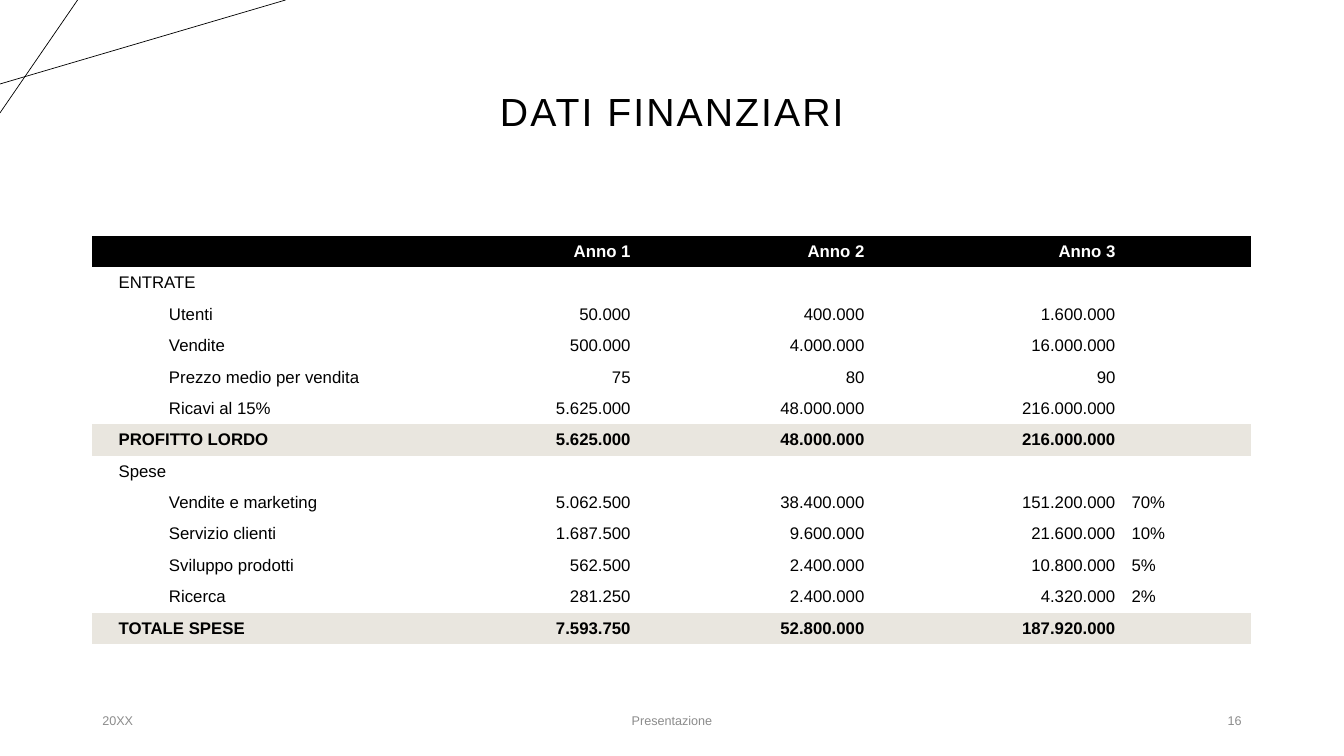
from dataclasses import dataclass

from lxml import etree
from pptx import Presentation
from pptx import util as u
from pptx.dml.color import RGBColor
from pptx.enum import shapes, text
from pptx.oxml.ns import qn

BLACK = RGBColor(0x00, 0x00, 0x00)
WHITE = RGBColor(0xFF, 0xFF, 0xFF)
SAND = RGBColor(0xE9, 0xE6, 0xDF)
GREY = RGBColor(0x8C, 0x8C, 0x8C)

FONT = "Arial"
SLIDE_WIDTH, SLIDE_HEIGHT = u.Inches(13.333), u.Inches(7.5)
GRID_COLUMNS, GRID_ROWS = 160, 90
MARGIN, CONTENT = 11, 138
TABLE_TOP, TABLE_ROW = 28.08, 3.74
TABLE_COLUMNS = (42.48, 22.56, 27.84, 29.88, 15.24)
PLAIN_TABLE_STYLE = "{2D5ABB26-0587-4C30-8999-92F81FD0307C}"

LEFT, CENTER, RIGHT = text.PP_ALIGN.LEFT, text.PP_ALIGN.CENTER, text.PP_ALIGN.RIGHT


@dataclass(frozen=True)
class Style:
    size: float
    color: RGBColor = BLACK
    bold: bool = False


@dataclass(frozen=True)
class Label:
    words: str
    column: float
    row: float
    columns: float
    rows: float
    align: text.PP_ALIGN
    style: Style
    spacing: float = 1.0
    tracking: int = 0


@dataclass(frozen=True)
class Stroke:
    start: tuple[float, float]
    end: tuple[float, float]


@dataclass(frozen=True)
class Entry:
    name: str
    values: tuple[str, ...] = ()
    share: str = ""
    level: int = 0
    fill: RGBColor | None = None
    style: Style = Style(12)


def header(*years: str) -> Entry:
    return Entry("", years, fill=BLACK, style=Style(12, WHITE, True))


def item(name: str, *values: str, share: str = "") -> Entry:
    return Entry(name, values, share, level=1)


def total(name: str, *values: str) -> Entry:
    return Entry(name, values, fill=SAND, style=Style(12, BLACK, True))


FOOTER = Style(9, GREY)
LABELS = (
    Label("DATI FINANZIARI", MARGIN, 4.8, CONTENT, 17.4, CENTER, Style(28), 0.9, 150),
    Label("20XX", MARGIN, 83.4, 36, 4.8, LEFT, FOOTER),
    Label("Presentazione", 53, 83.4, 54, 4.8, CENTER, FOOTER),
    Label("16", 113, 83.4, 36, 4.8, RIGHT, FOOTER),
)
STROKES = (Stroke((0, 10), (34, 0)), Stroke((9.24, 0), (0, 13.44)))
ENTRIES = (
    header("Anno 1", "Anno 2", "Anno 3"),
    Entry("ENTRATE"),
    item("Utenti", "50.000", "400.000", "1.600.000"),
    item("Vendite", "500.000", "4.000.000", "16.000.000"),
    item("Prezzo medio per vendita", "75", "80", "90"),
    item("Ricavi al 15%", "5.625.000", "48.000.000", "216.000.000"),
    total("PROFITTO LORDO", "5.625.000", "48.000.000", "216.000.000"),
    Entry("Spese"),
    item("Vendite e marketing", "5.062.500", "38.400.000", "151.200.000", share="70%"),
    item("Servizio clienti", "1.687.500", "9.600.000", "21.600.000", share="10%"),
    item("Sviluppo prodotti", "562.500", "2.400.000", "10.800.000", share="5%"),
    item("Ricerca", "281.250", "2.400.000", "4.320.000", share="2%"),
    total("TOTALE SPESE", "7.593.750", "52.800.000", "187.920.000"),
)


def across(columns: float) -> int:
    return round(SLIDE_WIDTH * columns / GRID_COLUMNS)


def down(rows: float) -> int:
    return round(SLIDE_HEIGHT * rows / GRID_ROWS)


def add_span(para, words: str, style: Style):
    span = para.add_run()
    span.text = words
    span.font.name = FONT
    span.font.size = u.Pt(style.size)
    span.font.bold = style.bold
    span.font.color.rgb = style.color
    return span


def draw_stroke(page, stroke: Stroke) -> None:
    (x1, y1), (x2, y2) = stroke.start, stroke.end
    line = page.shapes.add_connector(
        shapes.MSO_CONNECTOR.STRAIGHT, across(x1), down(y1), across(x2), down(y2))
    line.line.color.rgb = BLACK
    line.line.width = u.Pt(0.5)
    etree.SubElement(line._element.spPr, qn("a:effectLst"))


def draw_label(page, label: Label) -> None:
    box = page.shapes.add_textbox(
        across(label.column), down(label.row), across(label.columns), down(label.rows))
    box.text_frame.word_wrap = True
    box.text_frame.vertical_anchor = text.MSO_ANCHOR.MIDDLE
    para = box.text_frame.paragraphs[0]
    para.alignment = label.align
    para.line_spacing = label.spacing
    span = add_span(para, label.words, label.style)
    if label.tracking:
        span.font._element.set("spc", str(label.tracking))


def fill_cell(cell, words: str, column: int, entry: Entry) -> None:
    cell.vertical_anchor = text.MSO_ANCHOR.MIDDLE
    cell.margin_left = u.Inches(0.08 if column else 0.26)
    cell.margin_right = u.Inches(0.08)
    cell.margin_top = cell.margin_bottom = u.Inches(0.04)
    if entry.fill is None:
        cell.fill.background()
    else:
        cell.fill.solid()
        cell.fill.fore_color.rgb = entry.fill
    para = cell.text_frame.paragraphs[0]
    para.alignment = RIGHT if 0 < column < len(TABLE_COLUMNS) - 1 else LEFT
    if column == 0 and entry.level:
        para.level = entry.level
        properties = para._p.get_or_add_pPr()
        properties.set("marL", str(u.Inches(0.5)))
        properties.set("indent", "0")
    if words:
        add_span(para, words, entry.style)
    else:
        etree.SubElement(para._p, qn("a:endParaRPr"), sz=str(entry.style.size * 100))


def draw_table(page, entries: tuple[Entry, ...]) -> None:
    frame = page.shapes.add_table(
        len(entries), len(TABLE_COLUMNS), across(MARGIN), down(TABLE_TOP),
        across(CONTENT), down(TABLE_ROW * len(entries)))
    table = frame.table
    table.horz_banding = False
    next(frame._element.iter(qn("a:tableStyleId"))).text = PLAIN_TABLE_STYLE
    for column, width in zip(table.columns, TABLE_COLUMNS):
        column.width = across(width)
    for row, entry in zip(table.rows, entries):
        row.height = down(TABLE_ROW)
        values = entry.values or ("",) * (len(TABLE_COLUMNS) - 2)
        for column, words in enumerate((entry.name, *values, entry.share)):
            fill_cell(row.cells[column], words, column, entry)


def main() -> None:
    deck = Presentation()
    deck.slide_width, deck.slide_height = SLIDE_WIDTH, SLIDE_HEIGHT
    page = deck.slides.add_slide(deck.slide_layouts[6])
    page.background.fill.solid()
    page.background.fill.fore_color.rgb = WHITE
    for stroke in STROKES:
        draw_stroke(page, stroke)
    for label in LABELS:
        draw_label(page, label)
    draw_table(page, ENTRIES)
    deck.save("out.pptx")


if __name__ == "__main__":
    main()
